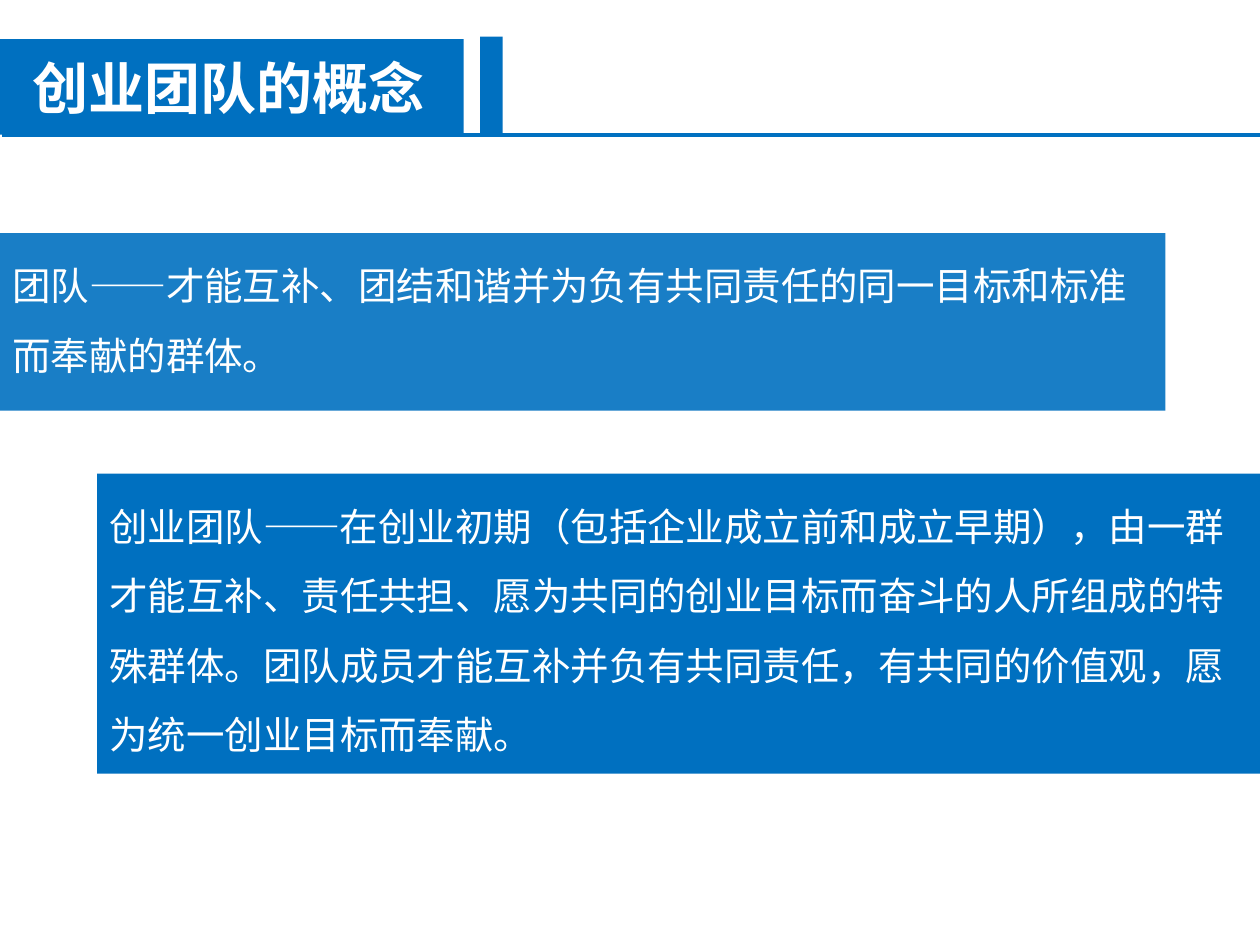
from dataclasses import dataclass

from lxml.etree import SubElement
from pptx import Presentation
from pptx.dml.color import RGBColor
from pptx.enum.shapes import MSO_CONNECTOR, MSO_SHAPE
from pptx.enum.text import MSO_ANCHOR, MSO_AUTO_SIZE, PP_ALIGN
from pptx.oxml.ns import qn
from pptx.util import Inches, Pt


@dataclass(frozen=True)
class Theme:
    blue: RGBColor = RGBColor(0x00, 0x70, 0xC0)
    white: RGBColor = RGBColor(0xFF, 0xFF, 0xFF)
    title_font: str = "Arial"
    body_font: str = "Noto Sans CJK SC"
    title_size: int = 32
    body_size: int = 22
    rule_width: int = 2
    line_spacing: float = 1.5


THEME = Theme()
WIDTH, HEIGHT = 10, 7.5
CARD_WIDTH = 0.925 * WIDTH

TITLE = "创业团队的概念"
TEAM = "团队——才能互补、团结和谐并为负有共同责任的同一目标和标准而奉献的群体。"
STARTUP_TEAM = (
    "创业团队——在创业初期（包括企业成立前和成立早期），由一群才能互补、责任共担、"
    "愿为共同的创业目标而奋斗的人所组成的特殊群体。团队成员才能互补并负有共同责任，"
    "有共同的价值观，愿为统一创业目标而奉献。"
)


def fill_blue(shape, opacity=100):
    shape.fill.solid()
    shape.fill.fore_color.rgb = THEME.blue
    shape.line.fill.background()
    if opacity < 100:
        color = shape.fill._xPr.find(qn("a:solidFill"))[0]
        SubElement(color, qn("a:alpha"), val=str(opacity * 1000))


def add_block(slide, box, opacity=100):
    block = slide.shapes.add_shape(MSO_SHAPE.RECTANGLE, *map(Inches, box))
    block.shadow.inherit = False
    fill_blue(block, opacity)
    return block


def write_text(shape, text, font_name, size, bold=False, spacing=1.0):
    frame = shape.text_frame
    frame.word_wrap = True
    frame.auto_size = MSO_AUTO_SIZE.NONE
    paragraph = frame.paragraphs[0]
    paragraph.alignment = PP_ALIGN.LEFT
    paragraph.line_spacing = spacing
    run = paragraph.add_run()
    run.text = text
    run.font.name = font_name
    run.font.size = Pt(size)
    run.font.bold = bold
    run.font.color.rgb = THEME.white
    # Typeface for the Chinese characters
    SubElement(run.font._element, qn("a:ea"), typeface=THEME.body_font)
    return frame


def add_header(slide, box):
    left, top, width, height = box
    bottom = top + height

    # Title band
    title = slide.shapes.title
    title.left, title.top, title.width, title.height = map(Inches, box)
    fill_blue(title)
    frame = write_text(title, TITLE, THEME.title_font, THEME.title_size, bold=True)
    frame.vertical_anchor = MSO_ANCHOR.MIDDLE
    frame.margin_left = Inches(0.3)

    # Accent bar beside the title
    add_block(slide, (left + width + 0.13, top - 0.02, 0.18, height + 0.03))

    # Rule below the header
    rule = slide.shapes.add_connector(
        MSO_CONNECTOR.STRAIGHT,
        Inches(0.02), Inches(bottom), Inches(WIDTH + 0.02), Inches(bottom),
    )
    rule.line.color.rgb = THEME.blue
    rule.line.width = Pt(THEME.rule_width)
    SubElement(rule._element.spPr, qn("a:effectLst"))


def add_definition(slide, box, text, opacity=100):
    card = add_block(slide, box, opacity)
    frame = write_text(card, text, THEME.body_font, THEME.body_size,
                       spacing=THEME.line_spacing)
    frame.vertical_anchor = MSO_ANCHOR.TOP


def main():
    presentation = Presentation()
    presentation.slide_width = Inches(WIDTH)
    presentation.slide_height = Inches(HEIGHT)
    slide = presentation.slides.add_slide(presentation.slide_layouts[5])

    add_header(slide, (-0.04, 0.31, 3.72, 0.76))

    # Two definitions, one at each edge of the slide
    add_definition(slide, (0, 1.85, CARD_WIDTH, 1.41), TEAM, opacity=90)
    add_definition(slide, (WIDTH + 0.02 - CARD_WIDTH, 3.76, CARD_WIDTH, 2.38), STARTUP_TEAM)

    presentation.save("out.pptx")


if __name__ == "__main__":
    main()
